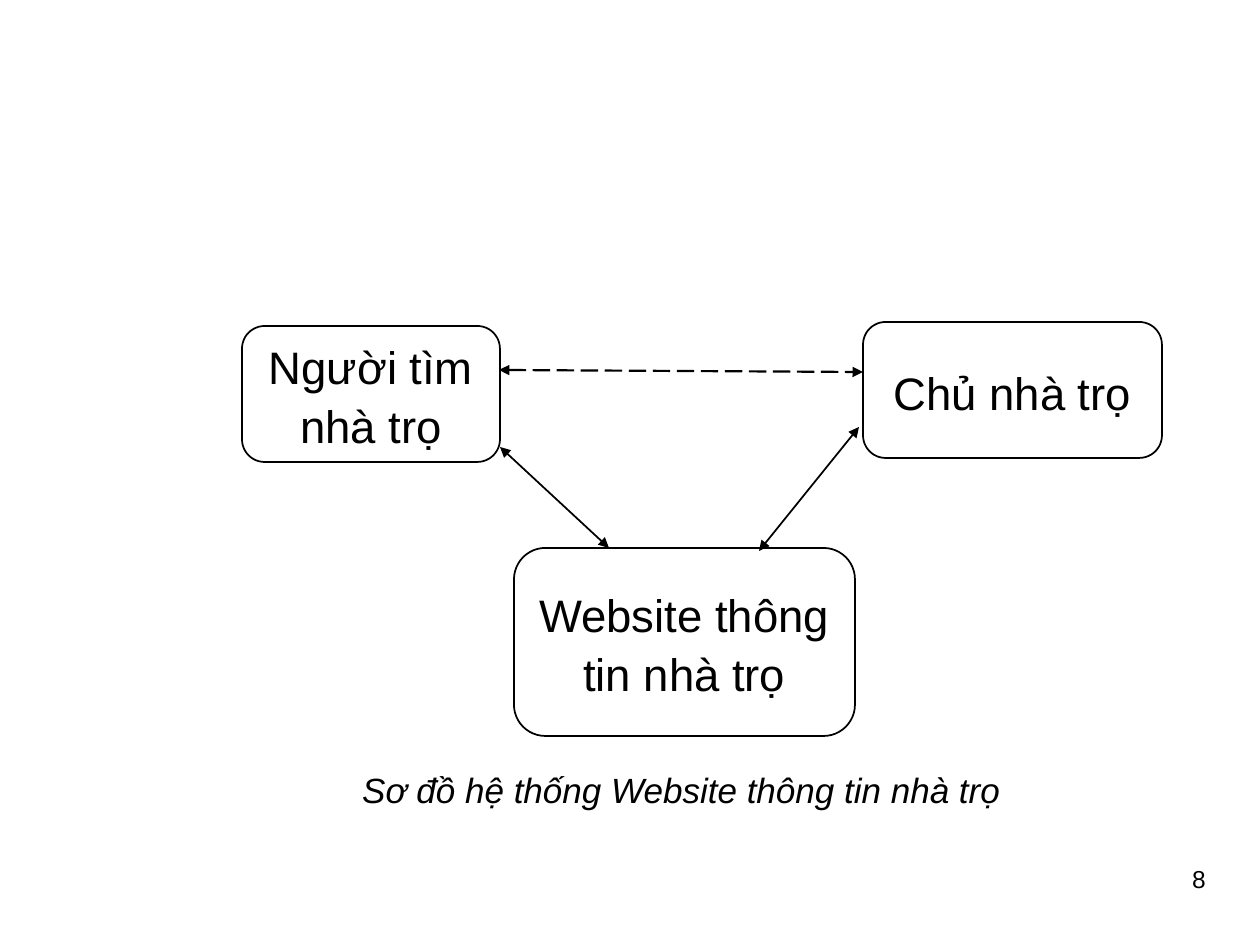
from dataclasses import dataclass

from lxml import etree
from pptx import Presentation
from pptx import util as u
from pptx.dml.color import RGBColor
from pptx.enum import dml, shapes, text
from pptx.oxml import ns

PX_PER_INCH = 126
BLACK = "000000"
WHITE = "FFFFFF"


@dataclass(frozen=True)
class Area:
    left: int
    top: int
    width: int
    height: int


@dataclass(frozen=True)
class Actor:
    label: str
    area: Area


@dataclass(frozen=True)
class Exchange:
    start: tuple[int, int]
    end: tuple[int, int]
    weight: float = 1
    dash: dml.MSO_LINE | None = None


@dataclass(frozen=True)
class Note:
    label: str
    area: Area
    size: int
    align: text.PP_ALIGN
    italic: bool = False


ACTORS = [
    Actor("Người tìm nhà trọ", Area(242, 326, 258, 136)),
    Actor("Chủ nhà trọ", Area(863, 322, 299, 136)),
    Actor("Website thông tin nhà trọ", Area(514, 548, 341, 188)),
]
EXCHANGES = [
    Exchange((500, 447), (609, 548)),
    Exchange((499, 370), (863, 372), 1.25, dml.MSO_LINE.LONG_DASH),
    Exchange((859, 427), (759, 551)),
]
NOTES = [
    Note("8", Area(924, 858, 294, 77), 14, text.PP_ALIGN.RIGHT),
    Note("Sơ đồ hệ thống Website thông tin nhà trọ",
         Area(8, 762, 1347, 55), 20, text.PP_ALIGN.CENTER, True),
]


def px(length: int) -> u.Emu:
    return u.Emu(round(length * u.Inches(1) / PX_PER_INCH))


def rgb(value: str) -> RGBColor:
    return RGBColor.from_string(value)


def bounds(area: Area) -> list[u.Emu]:
    return [px(n) for n in (area.left, area.top, area.width, area.height)]


def apply(target, values: dict) -> None:
    for name, value in values.items():
        setattr(target, name, value)


def write(frame, label: str, size: int, layout: dict, italic: bool = False) -> None:
    frame.word_wrap = True
    paragraph = frame.paragraphs[0]
    apply(paragraph, layout)
    run = paragraph.add_run()
    run.text = label
    apply(run.font, {"name": "Arial", "size": u.Pt(size), "italic": italic})
    run.font.color.rgb = rgb(BLACK)


def draw_actor(slide, actor: Actor) -> None:
    box = slide.shapes.add_shape(
        shapes.MSO_SHAPE.ROUNDED_RECTANGLE, *bounds(actor.area))
    box.shadow.inherit = False
    box.fill.solid()
    box.fill.fore_color.rgb = rgb(WHITE)
    box.line.color.rgb = rgb(BLACK)
    box.line.width = u.Pt(1)
    box.text_frame.vertical_anchor = text.MSO_ANCHOR.MIDDLE
    write(box.text_frame, actor.label, 26, {
        "alignment": text.PP_ALIGN.CENTER,
        "line_spacing": 1.07,
        "space_after": u.Pt(8),
    })


def draw_exchange(slide, exchange: Exchange) -> None:
    ends = [px(n) for n in exchange.start + exchange.end]
    arrow = slide.shapes.add_connector(shapes.MSO_CONNECTOR.STRAIGHT, *ends)
    arrow.line.color.rgb = rgb(BLACK)
    arrow.line.width = u.Pt(exchange.weight)
    if exchange.dash is not None:
        arrow.line.dash_style = exchange.dash
    properties = arrow._element.spPr
    outline = properties.find(ns.qn("a:ln"))
    for end in ("a:headEnd", "a:tailEnd"):
        etree.SubElement(outline, ns.qn(end), type="triangle")
    etree.SubElement(properties, ns.qn("a:effectLst"))


def draw_note(slide, note: Note) -> None:
    box = slide.shapes.add_textbox(*bounds(note.area))
    write(box.text_frame, note.label, note.size,
          {"alignment": note.align}, note.italic)


def main() -> None:
    deck = Presentation()
    apply(deck, {"slide_width": u.Inches(10), "slide_height": u.Inches(7.5)})
    slide = deck.slides.add_slide(deck.slide_layouts.get_by_name("Blank"))
    number, caption = NOTES
    draw_note(slide, number)
    for actor in ACTORS:
        draw_actor(slide, actor)
    for exchange in EXCHANGES:
        draw_exchange(slide, exchange)
    draw_note(slide, caption)
    deck.save("out.pptx")


if __name__ == "__main__":
    main()
